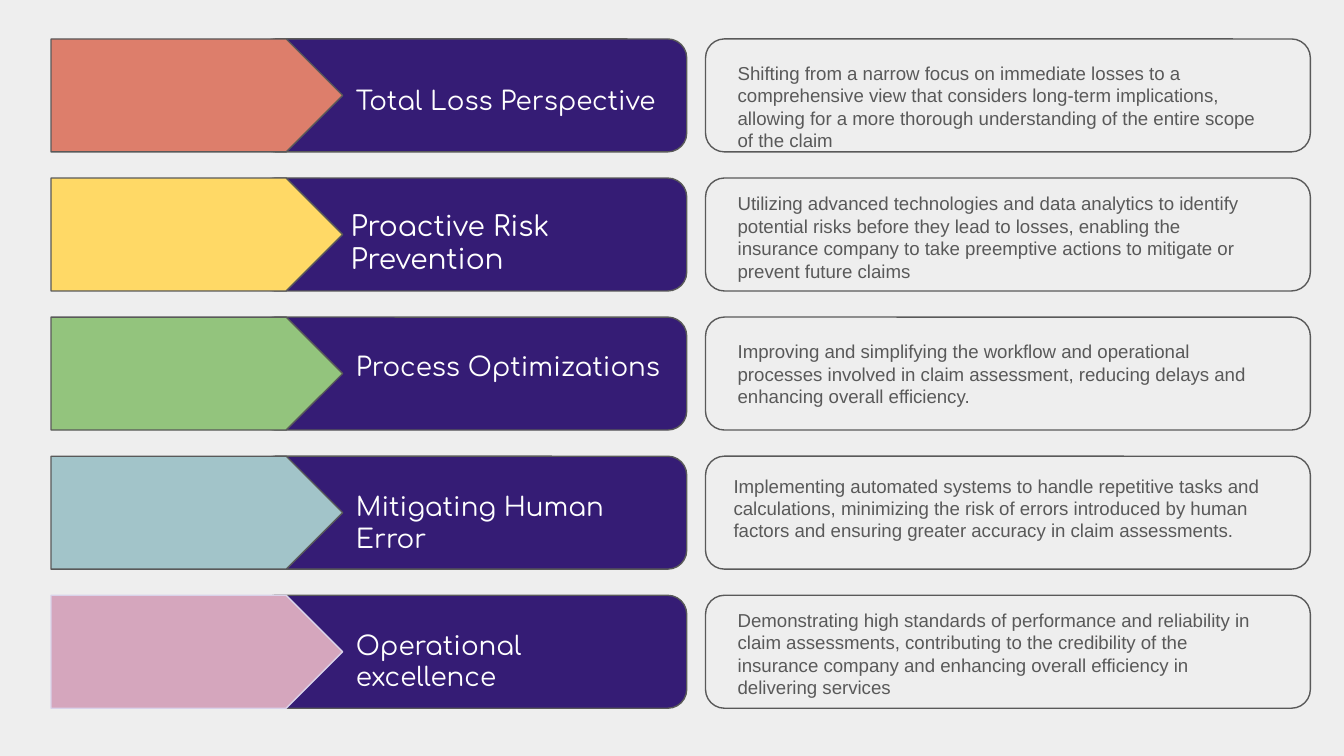
from dataclasses import dataclass

from pptx import Presentation
from pptx.dml.color import RGBColor
from pptx.enum.shapes import MSO_SHAPE as Shape
from pptx.enum.text import MSO_ANCHOR as Anchor
from pptx.util import Inches, Pt

COLORS = {
    "paper": "EEEEEE", "ink": "595959", "white": "FFFFFF", "indigo": "351C75",
    "coral": "DD7E6B", "yellow": "FFD966", "green": "93C47D",
    "teal": "A2C4C9", "pink": "D5A6BD", "lilac": "D9D2E9",
}
TOP, LAST_TOP, HEIGHT = 0.29, 4.43, 0.84


def color(name):
    return RGBColor.from_string(COLORS[name])


def write(frame, text, size, font, ink):
    span = frame.paragraphs[0].add_run()
    span.text = text
    span.font.size = Pt(size)
    span.font.name = font
    span.font.color.rgb = color(ink)


@dataclass
class Painter:
    """Draws styled elements on the current slide."""
    page: object
    line_width: float = 0.75
    inset: float = 0.1

    def shape(self, kind, left, top, width, fill, line="ink", adjust=1 / 6):
        shape = self.page.shapes.add_shape(
            kind, Inches(left), Inches(top), Inches(width), Inches(HEIGHT))
        shape.adjustments[0] = adjust
        shape.shadow.inherit = False
        shape.fill.solid()
        shape.fill.fore_color.rgb = color(fill)
        shape.line.color.rgb = color(line)
        shape.line.width = Pt(self.line_width)

    def text(self, text, left, top, width, height, **style):
        box = self.page.shapes.add_textbox(
            Inches(left), Inches(top), Inches(width), Inches(height))
        frame = box.text_frame
        frame.word_wrap = True
        frame.vertical_anchor = Anchor.TOP
        frame.margin_left = frame.margin_right = Inches(self.inset)
        frame.margin_top = frame.margin_bottom = Inches(self.inset)
        write(frame, text, **style)


ROWS = [
    dict(fill="coral", title="Total Loss Perspective",
         title_at=(2.55, 0.53, 2.46, 0.54), body_at=(5.39, 0.36, 4.09, 0.55),
         body="Shifting from a narrow focus on immediate losses to a comprehensive "
              "view that considers long-term implications, allowing for a more "
              "thorough understanding of the entire scope of the claim"),
    dict(fill="yellow", title="Proactive Risk Prevention", size=15,
         title_at=(2.51, 1.45, 2.55, 0.72), body_at=(5.39, 1.33, 4.09, 0.84),
         body="Utilizing advanced technologies and data analytics to identify "
              "potential risks before they lead to losses, enabling the insurance "
              "company to take preemptive actions to mitigate or prevent future claims"),
    dict(fill="green", title="Process Optimizations",
         title_at=(2.55, 2.51, 2.64, 0.54), body_at=(5.39, 2.43, 4.09, 0.55),
         body="Improving and simplifying the workflow and operational processes "
              "involved in claim assessment, reducing delays and enhancing overall "
              "efficiency."),
    dict(fill="teal", title="Mitigating Human Error",
         title_at=(2.55, 3.55, 2.55, 0.54), body_at=(5.36, 3.43, 4.16, 0.55),
         body="Implementing automated systems to handle repetitive tasks and "
              "calculations, minimizing the risk of errors introduced by human "
              "factors and ensuring greater accuracy in claim assessments."),
    dict(fill="pink", line="lilac", title="Operational excellence",
         title_at=(2.55, 4.58, 2.46, 0.54), body_at=(5.39, 4.43, 4.09, 0.55),
         body="Demonstrating high standards of performance and reliability in claim "
              "assessments, contributing to the credibility of the insurance company "
              "and enhancing overall efficiency in delivering services"),
]
PITCH = (LAST_TOP - TOP) / (len(ROWS) - 1)

deck = Presentation()
deck.slide_width = Inches(10)
deck.slide_height = Inches(10 * 9 / 16)
page = deck.slides.add_slide(deck.slide_layouts[6])
page.background.fill.solid()
page.background.fill.fore_color.rgb = color("paper")
painter = Painter(page)

for index, row in enumerate(ROWS):
    top = TOP + index * PITCH
    painter.shape(Shape.ROUNDED_RECTANGLE, 1.91, top, 3.2, "indigo")
    painter.shape(Shape.PENTAGON, 0.38, top, 2.17, row["fill"],
                  line=row.get("line", "ink"), adjust=0.5)
    painter.shape(Shape.ROUNDED_RECTANGLE, 5.25, top, 4.5, "paper")
    painter.text(row["title"], *row["title_at"],
                 size=row.get("size", 14), font="Comfortaa", ink="white")
    painter.text(row["body"], *row["body_at"], size=10, font="Arial", ink="ink")

deck.save("out.pptx")
